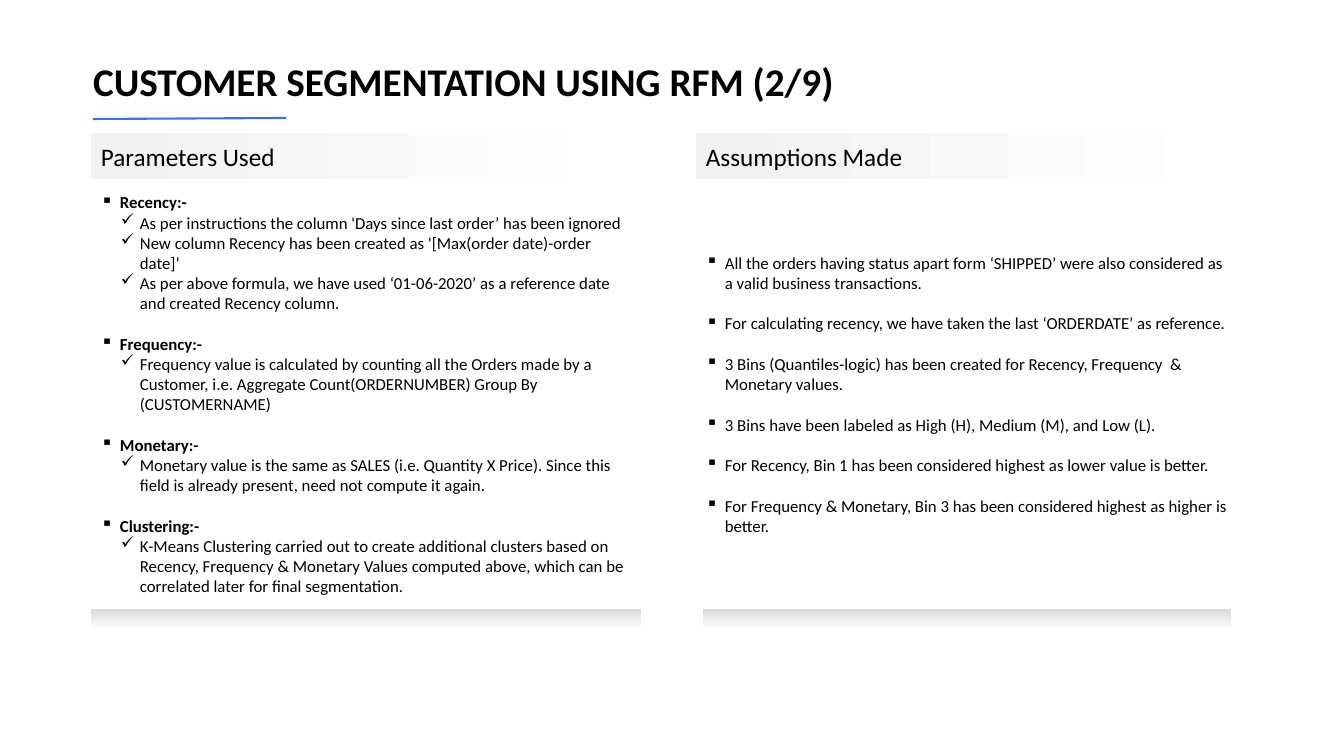
import pptx
import pptx.dml.color
import pptx.enum.shapes
import pptx.enum.text
import pptx.oxml
import pptx.oxml.ns
import pptx.util
from lxml import etree

PX = 12192000 / 1344
FONT = "Calibri"
BLACK = "000000"
INDENT = 19


def box(*lengths):
    return [round(length * PX) for length in lengths]


def color(hex_text):
    return pptx.dml.color.RGBColor.from_string(hex_text)


presentation = pptx.Presentation()
presentation.slide_width, presentation.slide_height = box(1344, 756)
slide = presentation.slides.add_slide(presentation.slide_layouts[5])
shapes = slide.shapes

# Title and accent line
title = shapes.title
title.left, title.top, title.width, title.height = box(83, 51, 1159, 66)
title.text_frame.text = "CUSTOMER SEGMENTATION USING RFM (2/9)"
title.text_frame.vertical_anchor = pptx.enum.text.MSO_ANCHOR.MIDDLE
paragraph = title.text_frame.paragraphs[0]
paragraph.alignment = pptx.enum.text.PP_ALIGN.LEFT
paragraph.line_spacing = 0.9
paragraph.font.name = FONT
paragraph.font.size = pptx.util.Pt(28)
paragraph.font.bold = True
paragraph.font.color.rgb = color(BLACK)

accent = shapes.add_connector(
    pptx.enum.shapes.MSO_CONNECTOR.STRAIGHT, *box(93, 119, 286, 118))
accent.line.color.rgb = color("4472C4")
accent.line.width = pptx.util.Pt(1.5)
etree.SubElement(accent._element.spPr, pptx.oxml.ns.qn("a:effectLst"))

# Gradient bars: place, (stop position, colour) pairs, angle, heading
bars = [
    ((703, 609, 528, 107), [(0, "D9D9D9"), (0.19, "FFFFFF")], 270, ""),
    ((91, 609, 550, 107), [(0, "D9D9D9"), (0.19, "FFFFFF")], 270, ""),
    ((91, 133, 556, 46), [(0, "FFFFFF"), (1, "F2F2F2")], 180, "Parameters Used"),
    ((696, 133, 545, 46), [(0, "FFFFFF"), (1, "F2F2F2")], 180, "Assumptions Made"),
]
for place, stops, angle, heading in bars:
    bar = shapes.add_shape(pptx.enum.shapes.MSO_SHAPE.RECTANGLE, *box(*place))
    bar.shadow.inherit = False
    bar.line.fill.background()
    bar.fill.gradient()
    bar.fill.gradient_angle = angle
    for stop, (position, shade) in zip(bar.fill.gradient_stops, stops):
        stop.position = position
        stop.color.rgb = color(shade)
    if heading:
        bar.text_frame.text = heading
        bar.text_frame.vertical_anchor = pptx.enum.text.MSO_ANCHOR.MIDDLE
        paragraph = bar.text_frame.paragraphs[0]
        paragraph.alignment = pptx.enum.text.PP_ALIGN.LEFT
        paragraph.font.name = FONT
        paragraph.font.size = pptx.util.Pt(18)
        paragraph.font.color.rgb = color(BLACK)

# Bulleted columns: each group is a lead line and its checked details
parameters = [
    ("Recency:-", [
        "As per instructions the column 'Days since last order’ has been ignored",
        "New column Recency has been created as '[Max(order date)-order date]’",
        "As per above formula, we have used ‘01-06-2020’ as a reference date "
        "and created Recency column.",
    ]),
    ("Frequency:-", [
        "Frequency value is calculated by counting all the Orders made by a Customer, "
        "i.e. Aggregate Count(ORDERNUMBER) Group By (CUSTOMERNAME)",
    ]),
    ("Monetary:-", [
        "Monetary value is the same as SALES (i.e. Quantity X Price). Since this field "
        "is already present, need not compute it again.",
    ]),
    ("Clustering:-", [
        "K-Means Clustering carried out to create additional clusters based on Recency, "
        "Frequency & Monetary Values computed above, which can be correlated later for "
        "final segmentation.",
    ]),
]
assumptions = [
    ("All the orders having status apart form ‘SHIPPED’ were also considered as "
     "a valid business transactions.", []),
    ("For calculating recency, we have taken the last ‘ORDERDATE’ as reference.", []),
    ("3 Bins (Quantiles-logic) has been created for Recency, Frequency  & "
     "Monetary values.", []),
    ("3 Bins have been labeled as High (H), Medium (M), and Low (L).", []),
    ("For Recency, Bin 1 has been considered highest as lower value is better.", []),
    ("For Frequency & Monetary, Bin 3 has been considered highest as higher is better.", []),
]
for place, groups in [((91, 180, 550, 428), parameters),
                      ((696, 180, 545, 428), assumptions)]:
    frame = shapes.add_textbox(*box(*place)).text_frame
    frame.word_wrap = True
    frame.vertical_anchor = pptx.enum.text.MSO_ANCHOR.MIDDLE
    paragraph = frame.paragraphs[0]
    for group_index, (lead, details) in enumerate(groups):
        for line_index, text in enumerate([lead, *details]):
            is_lead = line_index == 0
            if group_index or line_index:
                paragraph = frame.add_paragraph()
            paragraph.text = text
            paragraph.level = 0 if is_lead else 1
            properties = paragraph._p.get_or_add_pPr()
            margin, hanging = box(INDENT if is_lead else 2 * INDENT + 1, -INDENT)
            properties.set("marL", str(margin))
            properties.set("indent", str(hanging))
            bullet = etree.SubElement(properties, pptx.oxml.ns.qn("a:buChar"))
            bullet.set("char", "▪" if is_lead else "✓")
            if is_lead and group_index:
                paragraph.space_before = pptx.util.Pt(14.5)
            paragraph.font.name = FONT
            paragraph.font.size = pptx.util.Pt(12)
            paragraph.font.bold = bool(is_lead and details)
            paragraph.font.color.rgb = color(BLACK)

presentation.save("out.pptx")
